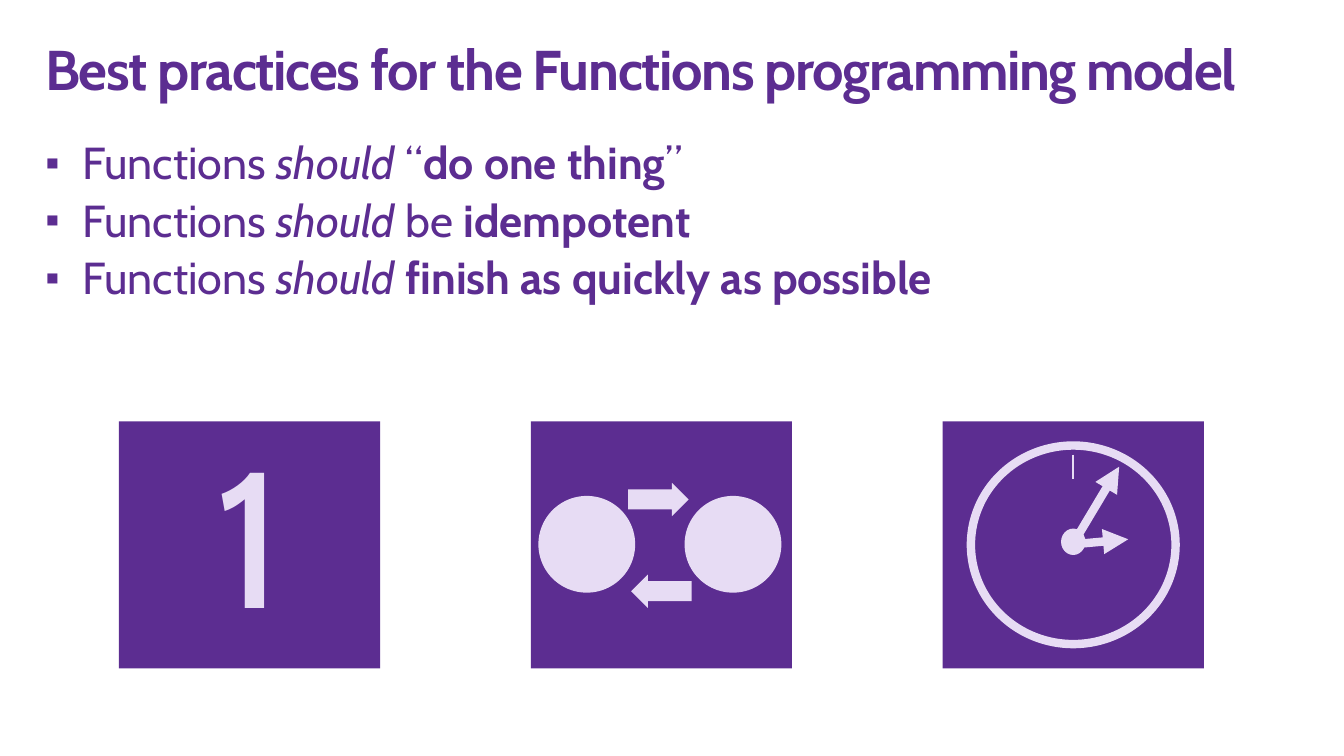
from dataclasses import dataclass

from lxml.etree import SubElement
from pptx import Presentation
from pptx.dml.color import RGBColor
from pptx.enum.shapes import MSO_CONNECTOR, MSO_SHAPE
from pptx.enum.text import MSO_ANCHOR, MSO_AUTO_SIZE, PP_ALIGN
from pptx.oxml.ns import qn
from pptx.util import Inches, Pt


@dataclass(frozen=True)
class Theme:
    font: str = "Cabin"
    purple: RGBColor = RGBColor(0x5C, 0x2D, 0x91)
    lavender: RGBColor = RGBColor(0xE7, 0xDC, 0xF4)
    title_size: int = 40
    body_size: int = 32
    numeral_size: int = 138


THEME = Theme()
TILE_LEFT, TILE_STEP, TILE_TOP = 1.18, 4.085, 4.18
TILE_WIDTH, TILE_HEIGHT = 2.59, 2.45

ITALIC = {"italic": True}
BOLD = {"bold": True}
PRACTICES = [
    [("Functions ", {}), ("should", ITALIC), (" “", {}),
     ("do one thing", BOLD), ("”", {})],
    [("Functions ", {}), ("should", ITALIC), (" be ", {}), ("idempotent", BOLD)],
    [("Functions ", {}), ("should ", ITALIC),
     ("finish as quickly as possible", BOLD)],
]


def apply(target, values):
    for name, value in values.items():
        setattr(target, name, value)


def set_frame(frame, side_inset, end_inset):
    apply(frame, {
        "word_wrap": True,
        "auto_size": MSO_AUTO_SIZE.NONE,
        "vertical_anchor": MSO_ANCHOR.TOP,
        "margin_left": Inches(side_inset),
        "margin_right": Inches(side_inset),
        "margin_top": Inches(end_inset),
        "margin_bottom": Inches(end_inset),
    })


def add_run(paragraph, text, size, color, **styles):
    run = paragraph.add_run()
    run.text = text
    apply(run.font, {"name": THEME.font, "size": Pt(size), **styles})
    run.font.color.rgb = color
    return run


def set_title(slide, text):
    title = slide.shapes.title
    apply(title, {"left": Inches(0.29), "top": Inches(0.32),
                  "width": Inches(12.75), "height": Inches(0.98)})
    set_frame(title.text_frame, 0.16, 0.1)
    paragraph = title.text_frame.paragraphs[0]
    apply(paragraph, {"line_spacing": 0.9, "alignment": PP_ALIGN.LEFT})
    run = add_run(paragraph, text, THEME.title_size, THEME.purple, bold=True)
    run.font._element.set("spc", "-100")


def add_bullet(paragraph):
    properties = paragraph._p.get_or_add_pPr()
    properties.set("marL", str(Inches(0.37)))
    properties.set("indent", str(-Inches(0.37)))
    SubElement(properties, qn("a:buSzPct")).set("val", "90000")
    SubElement(properties, qn("a:buFont")).set("typeface", "Arial")
    SubElement(properties, qn("a:buChar")).set("char", "▪")


def add_practices(slide):
    box = slide.shapes.add_textbox(
        Inches(0.29), Inches(1.3), Inches(12.74), Inches(1.87))
    frame = box.text_frame
    set_frame(frame, 0.16, 0.1)
    for index, practice in enumerate(PRACTICES):
        paragraph = frame.add_paragraph() if index else frame.paragraphs[0]
        add_bullet(paragraph)
        apply(paragraph, {"line_spacing": 0.9,
                          "space_before": Pt(6.4 if index else 0)})
        for text, styles in practice:
            add_run(paragraph, text, THEME.body_size, THEME.purple, **styles)


def add_figure(slide, kind, left, top, width, height, fill=None, line_width=0):
    """Add a preset shape; lavender outline only when line_width is given."""
    figure = slide.shapes.add_shape(
        kind, Inches(left), Inches(top), Inches(width), Inches(height))
    figure.shadow.inherit = False
    if fill is None:
        figure.fill.background()
    else:
        figure.fill.solid()
        figure.fill.fore_color.rgb = fill
    if line_width:
        figure.line.color.rgb = THEME.lavender
        figure.line.width = Pt(line_width)
    else:
        figure.line.fill.background()
    return figure


def add_stroke(slide, start, end, width, arrow=False):
    stroke = slide.shapes.add_connector(
        MSO_CONNECTOR.STRAIGHT, *(Inches(value) for value in (*start, *end)))
    stroke.line.color.rgb = THEME.lavender
    stroke.line.width = Pt(width)
    if arrow:
        SubElement(stroke.line._get_or_add_ln(),
                   qn("a:tailEnd")).set("type", "triangle")
    SubElement(stroke._element.spPr, qn("a:effectLst"))


def add_tiles(slide):
    for column in range(3):
        add_figure(slide, MSO_SHAPE.RECTANGLE, TILE_LEFT + column * TILE_STEP,
                   TILE_TOP, TILE_WIDTH, TILE_HEIGHT, THEME.purple)


def add_numeral(slide):
    box = slide.shapes.add_textbox(
        Inches(1.42), Inches(4.22), Inches(2.11), Inches(2.45))
    set_frame(box.text_frame, 0.2, 0.16)
    paragraph = box.text_frame.paragraphs[0]
    apply(paragraph, {"alignment": PP_ALIGN.CENTER, "line_spacing": 0.9,
                      "space_after": Pt(6)})
    add_run(paragraph, "1", THEME.numeral_size, THEME.lavender)


def add_exchange(slide):
    """Two circles passing arrows to each other."""
    for left in (5.34, 6.79):
        add_figure(slide, MSO_SHAPE.OVAL, left, 4.92, 0.96, 0.96, THEME.lavender)
    for left, top, rotation in ((6.23, 4.79, 0), (6.26, 5.7, 180)):
        arrow = add_figure(slide, MSO_SHAPE.RIGHT_ARROW, left, top, 0.6, 0.33,
                           THEME.lavender)
        arrow.adjustments[0] = 0.6
        arrow.rotation = rotation


def add_clock(slide):
    center = (10.64, 5.4)
    add_figure(slide, MSO_SHAPE.OVAL, 9.63, 4.42, 2.03, 1.97, line_width=6)
    add_stroke(slide, (10.64, 4.51), (10.64, 4.75), 1.5)
    for hand_tip in ((11.1, 4.63), (11.19, 5.35)):
        add_stroke(slide, center, hand_tip, 6, arrow=True)
    add_figure(slide, MSO_SHAPE.OVAL, 10.53, 5.25, 0.23, 0.25,
               THEME.lavender, line_width=0.85)


def main():
    deck = Presentation()
    apply(deck, {"slide_width": Inches(13.33), "slide_height": Inches(7.5)})
    slide = deck.slides.add_slide(deck.slide_layouts.get_by_name("Title Only"))
    set_title(slide, "Best practices for the Functions programming model")
    add_practices(slide)
    add_tiles(slide)
    add_numeral(slide)
    add_exchange(slide)
    add_clock(slide)
    deck.save("out.pptx")


if __name__ == "__main__":
    main()
